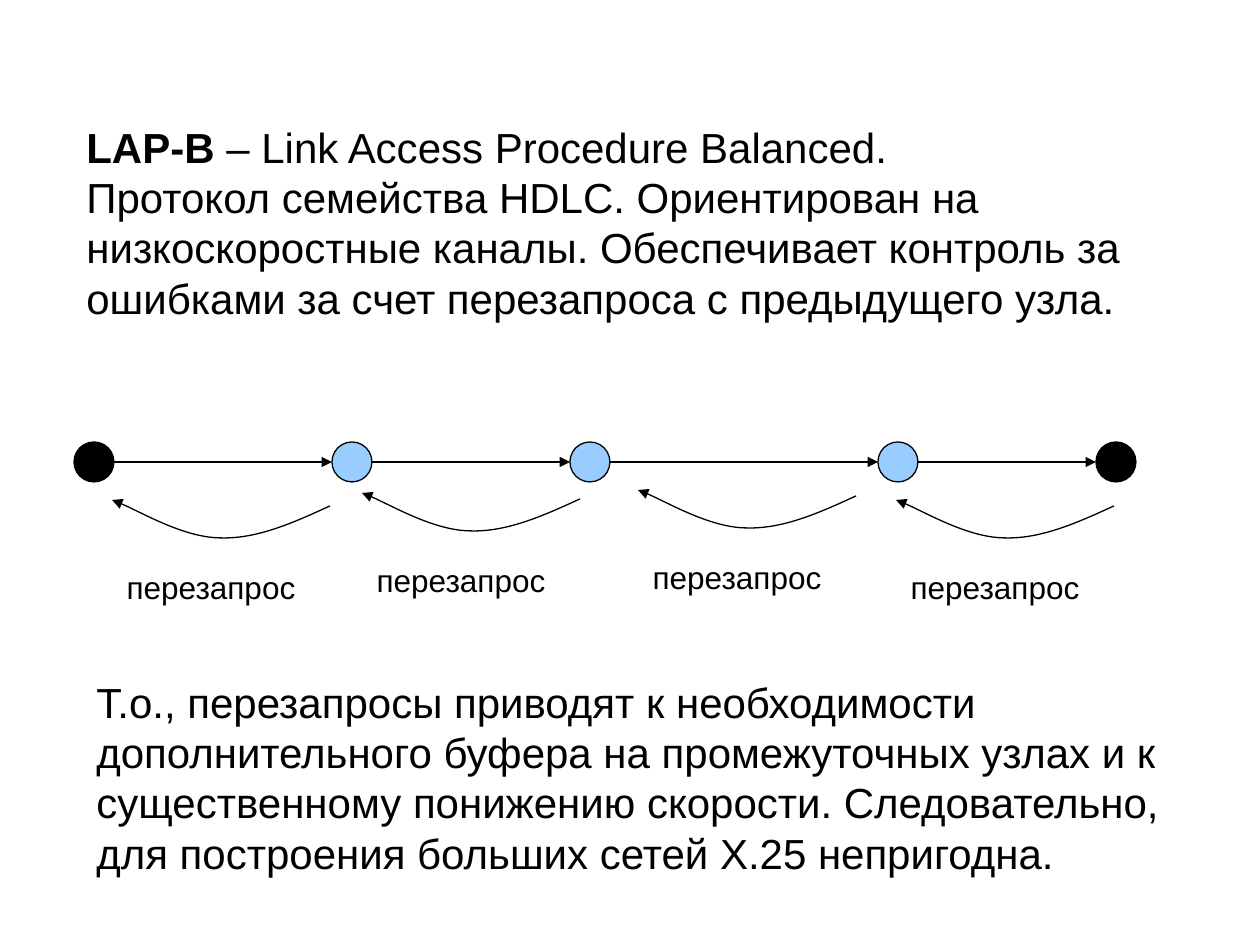
from dataclasses import dataclass

from lxml import etree
from pptx import Presentation
from pptx.dml.color import RGBColor
from pptx.enum.shapes import MSO_CONNECTOR, MSO_SHAPE
from pptx.enum.text import MSO_AUTO_SIZE, PP_ALIGN
from pptx.oxml.ns import qn
from pptx.util import Emu, Pt

STRAIGHT = MSO_CONNECTOR.STRAIGHT
OVAL = MSO_SHAPE.OVAL
LEFT, CENTER = PP_ALIGN.LEFT, PP_ALIGN.CENTER
FIT_SHAPE = MSO_AUTO_SIZE.SHAPE_TO_FIT_TEXT
EMU_PER_PX = 914400 / 126


@dataclass(frozen=True)
class Theme:
    font: str = "Arial"
    ink: RGBColor = RGBColor(0x00, 0x00, 0x00)
    relay: RGBColor = RGBColor(0x99, 0xCC, 0xFF)
    body_size: float = 24
    label_size: float = 18
    line_width: float = 0.75


THEME = Theme()


@dataclass(frozen=True)
class Node:
    left: int
    fill: RGBColor


@dataclass(frozen=True)
class Request:
    """A repeat request, placed by the tip of its curved arrow."""
    x: int
    y: int


NODE_TOP, NODE_WIDTH, NODE_HEIGHT = 442, 40, 40
NODES = [
    Node(74, THEME.ink),
    Node(332, THEME.relay),
    Node(570, THEME.relay),
    Node(878, THEME.relay),
    Node(1096, THEME.ink),
]
REQUESTS = [Request(112, 500), Request(362, 493), Request(638, 490), Request(896, 500)]

# Start point, then two cubic segments of three points, relative to the tip
CURVE = [(218, 6), (181, 23), (145, 39), (109, 38), (73, 38), (18, 6), (0, 0)]

INTRO = [
    [("LAP-B", True), (" – Link Access Procedure Balanced.", False)],
    [("Протокол семейства HDLC. Ориентирован на", False)],
    [("низкоскоростные каналы. Обеспечивает контроль за", False)],
    [("ошибками за счет перезапроса с предыдущего узла.", False)],
]
CONCLUSION = [
    [("Т.о., перезапросы приводят к необходимости", False)],
    [("дополнительного буфера на промежуточных узлах и к", False)],
    [("существенному понижению скорости. Следовательно,", False)],
    [("для построения больших сетей Х.25 непригодна.", False)],
]


def px(value: int) -> Emu:
    return Emu(round(value * EMU_PER_PX))


def add_text(page, lines, left: int, top: int, width: int, height: int, *,
             size: float = THEME.body_size, align=LEFT) -> None:
    box = page.shapes.add_textbox(px(left), px(top), px(width), px(height))
    frame = box.text_frame
    frame.word_wrap = False
    frame.auto_size = FIT_SHAPE
    for index, line in enumerate(lines):
        para = frame.paragraphs[0] if index == 0 else frame.add_paragraph()
        para.alignment = align
        for text, bold in line:
            span = para.add_run()
            span.text = text
            span.font.name = THEME.font
            span.font.size = Pt(size)
            span.font.bold = bold
            span.font.color.rgb = THEME.ink


def style_line(line) -> None:
    line.color.rgb = THEME.ink
    line.width = Pt(THEME.line_width)


def add_arrowhead(line) -> None:
    etree.SubElement(line._get_or_add_ln(), qn("a:tailEnd"), type="triangle")


def add_node(page, node: Node) -> None:
    circle = page.shapes.add_shape(OVAL, px(node.left), px(NODE_TOP),
                                   px(NODE_WIDTH), px(NODE_HEIGHT))
    circle.shadow.inherit = False
    circle.fill.solid()
    circle.fill.fore_color.rgb = node.fill
    style_line(circle.line)


def add_link(page, source: Node, target: Node) -> None:
    y = px(NODE_TOP + NODE_HEIGHT // 2)
    link = page.shapes.add_connector(STRAIGHT, px(source.left + NODE_WIDTH), y,
                                     px(target.left), y)
    style_line(link.line)
    add_arrowhead(link.line)
    etree.SubElement(link._element.spPr, qn("a:effectLst"))


def bend_segments(curve) -> None:
    """Turn each three straight segments into one cubic curve."""
    segments = list(curve._element.iter(qn("a:lnTo")))
    for start in range(0, len(segments), 3):
        cubic = etree.Element(qn("a:cubicBezTo"))
        segments[start].addprevious(cubic)
        for segment in segments[start:start + 3]:
            cubic.append(segment[0])
            segment.getparent().remove(segment)


def add_request(page, request: Request) -> None:
    points = [(px(request.x + x), px(request.y + y)) for x, y in CURVE]
    builder = page.shapes.build_freeform(*points[0])
    builder.add_line_segments(points[1:], close=False)
    curve = builder.convert_to_shape()
    bend_segments(curve)
    curve.shadow.inherit = False
    curve.fill.background()
    style_line(curve.line)
    add_arrowhead(curve.line)
    add_text(page, [[("перезапрос", False)]], request.x + 2, request.y + 62, 194, 50,
             size=THEME.label_size, align=CENTER)


def main() -> None:
    deck = Presentation()
    deck.slide_width, deck.slide_height = px(1260), px(945)
    page = deck.slides.add_slide(deck.slide_layouts[6])

    # Protocol definition
    add_text(page, INTRO, 74, 115, 1061, 214)

    # Chain of nodes with links
    for node in NODES:
        add_node(page, node)
    for source, target in zip(NODES, NODES[1:]):
        add_link(page, source, target)

    # Repeat requests back along the chain
    for request in REQUESTS:
        add_request(page, request)

    # Conclusion
    add_text(page, CONCLUSION, 84, 670, 1104, 214)

    deck.save("out.pptx")


if __name__ == "__main__":
    main()
